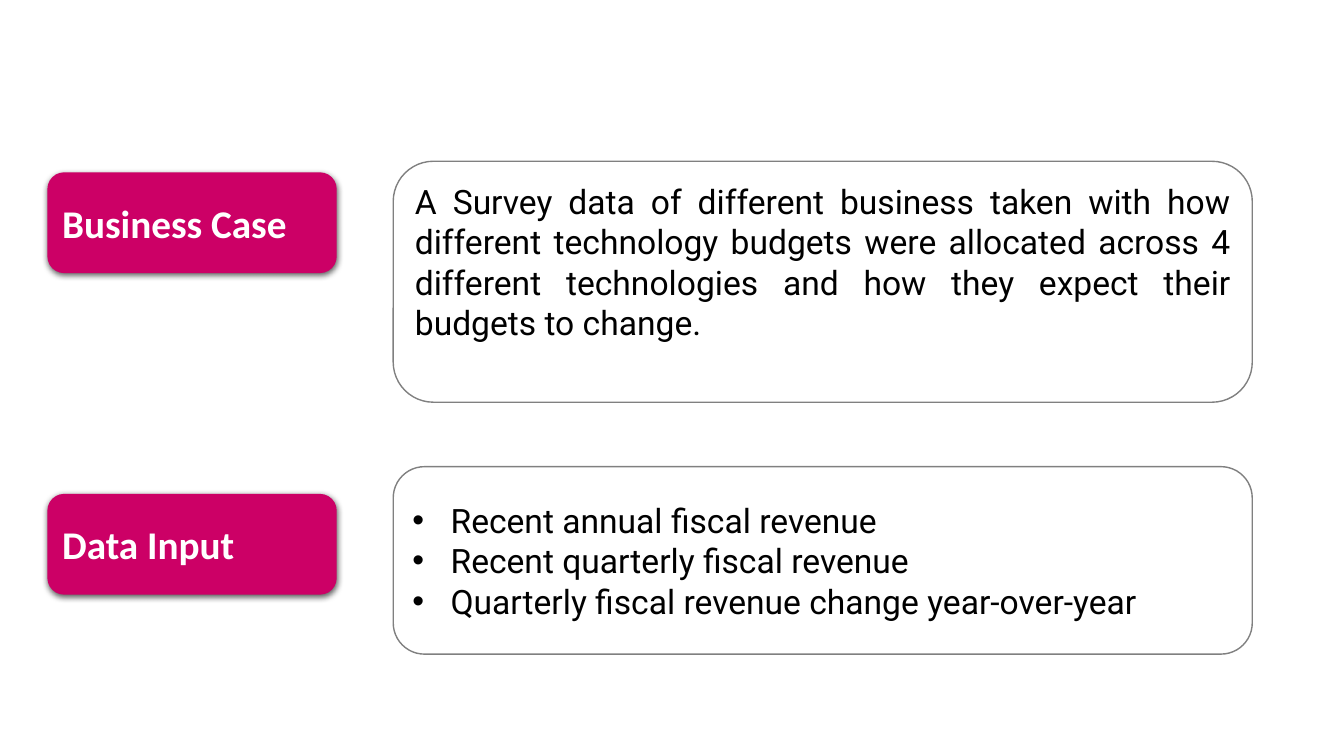
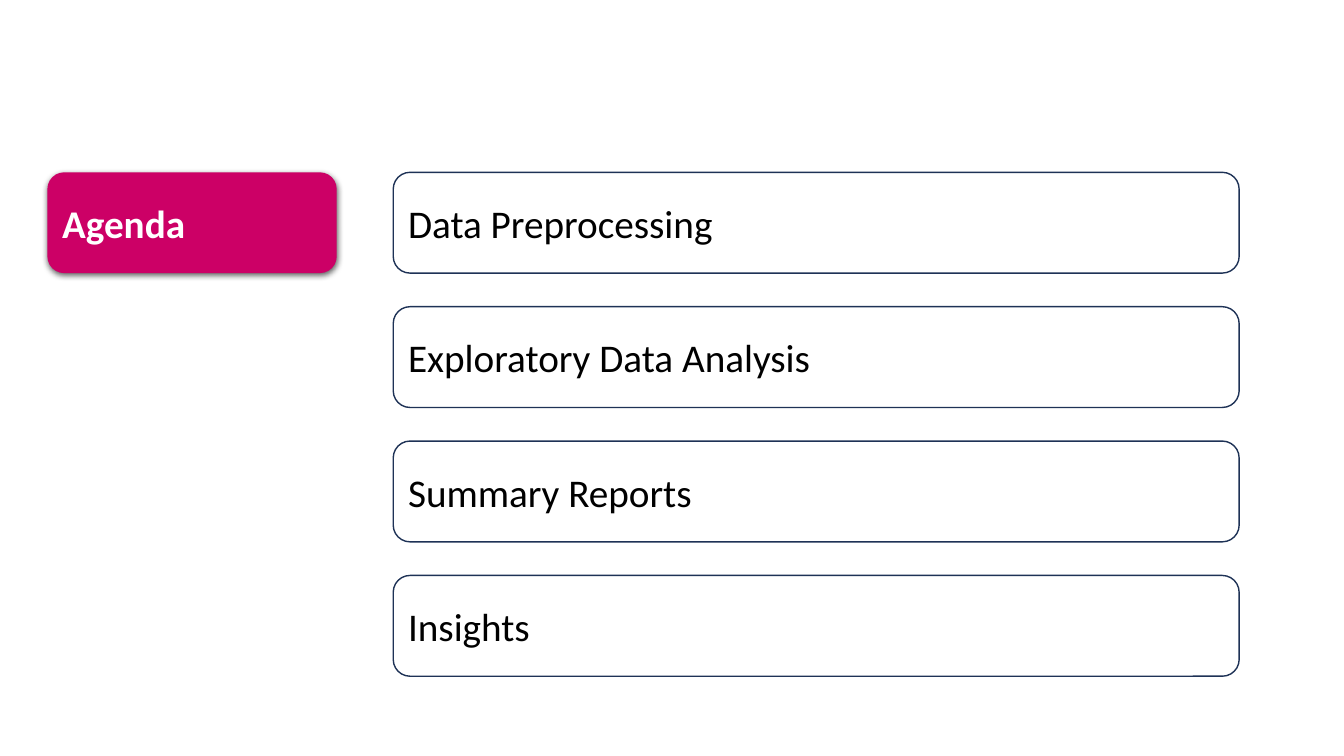
from dataclasses import dataclass

from lxml import etree
from pptx import Presentation
from pptx.dml import color
from pptx.enum import shapes, text
from pptx.oxml import ns
from pptx.util import Inches, Pt


@dataclass(frozen=True)
class Theme:
    accent: str = "CC0066"
    panel_line: str = "808080"
    agenda_line: str = "1E3256"
    light: str = "FFFFFF"
    dark: str = "000000"
    shadow: str = "000000"
    heading_font: str = "Calibri"
    body_font: str = "Roboto"
    heading_size: int = 28
    body_size: int = 24
    line_width: int = 1


THEME = Theme()
LABEL_LEFT, LABEL_WIDTH = 0.47, 2.87
CONTENT_LEFT, PANEL_WIDTH, AGENDA_WIDTH = 3.9, 8.52, 8.39
TOP, BOX_HEIGHT, AGENDA_GAP = 1.71, 1, 0.333
BULLET_INDENT = 0.38


def rgb(value):
    return color.RGBColor.from_string(value)


def add_box(slide, left, top, width, height, fill=None, line=None):
    shape = slide.shapes.add_shape(
        shapes.MSO_SHAPE.ROUNDED_RECTANGLE,
        Inches(left), Inches(top), Inches(width), Inches(height),
    )
    shape.shadow.inherit = False
    if fill:
        shape.fill.solid()
        shape.fill.fore_color.rgb = rgb(fill)
    else:
        shape.fill.background()
    if line:
        shape.line.color.rgb = rgb(line)
        shape.line.width = Pt(THEME.line_width)
    else:
        shape.line.fill.background()
    shape.text_frame.word_wrap = True
    shape.text_frame.vertical_anchor = text.MSO_ANCHOR.MIDDLE
    return shape


def add_soft_shadow(shape):
    effects = shape.element.spPr.find(ns.qn("a:effectLst"))
    shadow = etree.SubElement(
        effects, ns.qn("a:outerShdw"),
        blurRad=str(Pt(4.5)), dist=str(Pt(1.5)), dir="5400000",
        algn="t", rotWithShape="0",
    )
    tint = etree.SubElement(shadow, ns.qn("a:srgbClr"), val=THEME.shadow)
    etree.SubElement(tint, ns.qn("a:alpha"), val="63000")


def add_bullet(paragraph):
    properties = paragraph._p.get_or_add_pPr()
    properties.set("marL", str(Inches(BULLET_INDENT)))
    properties.set("indent", str(-Inches(BULLET_INDENT)))
    etree.SubElement(properties, ns.qn("a:buFont"), typeface="Arial")
    etree.SubElement(properties, ns.qn("a:buChar"), char="•")


def write_lines(shape, lines, font, size, ink, bold=False,
                alignment=text.PP_ALIGN.LEFT, bullets=False):
    frame = shape.text_frame
    for index, line in enumerate(lines):
        paragraph = frame.add_paragraph() if index else frame.paragraphs[0]
        paragraph.alignment = alignment
        if bullets:
            add_bullet(paragraph)
        run = paragraph.add_run()
        run.text = line
        run.font.name = font
        run.font.size = Pt(size)
        run.font.bold = bold
        run.font.color.rgb = rgb(ink)


def add_label(slide, top, caption):
    shape = add_box(slide, LABEL_LEFT, top, LABEL_WIDTH, BOX_HEIGHT, fill=THEME.accent)
    add_soft_shadow(shape)
    write_lines(shape, [caption], THEME.heading_font, THEME.heading_size,
                THEME.light, bold=True)


def add_panel(slide, top, height, lines, **style):
    shape = add_box(slide, CONTENT_LEFT, top, PANEL_WIDTH, height, line=THEME.panel_line)
    write_lines(shape, lines, THEME.body_font, THEME.body_size, THEME.dark, **style)
    return shape


def add_agenda_item(slide, top, caption):
    shape = add_box(slide, CONTENT_LEFT, top, AGENDA_WIDTH, BOX_HEIGHT,
                    line=THEME.agenda_line)
    write_lines(shape, [caption], THEME.heading_font, THEME.heading_size, THEME.dark)


def build_overview(slide):
    add_label(slide, TOP, "Business Case")
    case = add_panel(
        slide, 1.6, 2.39,
        ["A Survey data of different business taken with how different technology "
         "budgets were allocated across 4 different technologies and how they "
         "expect their budgets to change."],
        alignment=text.PP_ALIGN.JUSTIFY,
    )
    case.text_frame.margin_bottom = Inches(0.45)
    add_label(slide, 4.9, "Data Input")
    add_panel(
        slide, 4.63, 1.86,
        ["Recent annual fiscal revenue",
         "Recent quarterly fiscal revenue",
         "Quarterly fiscal revenue change year-over-year"],
        bullets=True,
    )


def build_agenda(slide):
    add_label(slide, TOP, "Agenda")
    items = ["Data Preprocessing", "Exploratory Data Analysis",
             "Summary Reports", "Insights"]
    for index, item in enumerate(items):
        add_agenda_item(slide, TOP + index * (BOX_HEIGHT + AGENDA_GAP), item)


def main():
    presentation = Presentation()
    presentation.slide_width = Inches(13.33)
    presentation.slide_height = Inches(7.5)
    blank = presentation.slide_layouts[6]
    for build in (build_overview, build_agenda):
        build(presentation.slides.add_slide(blank))
    presentation.save("out.pptx")


if __name__ == "__main__":
    main()
